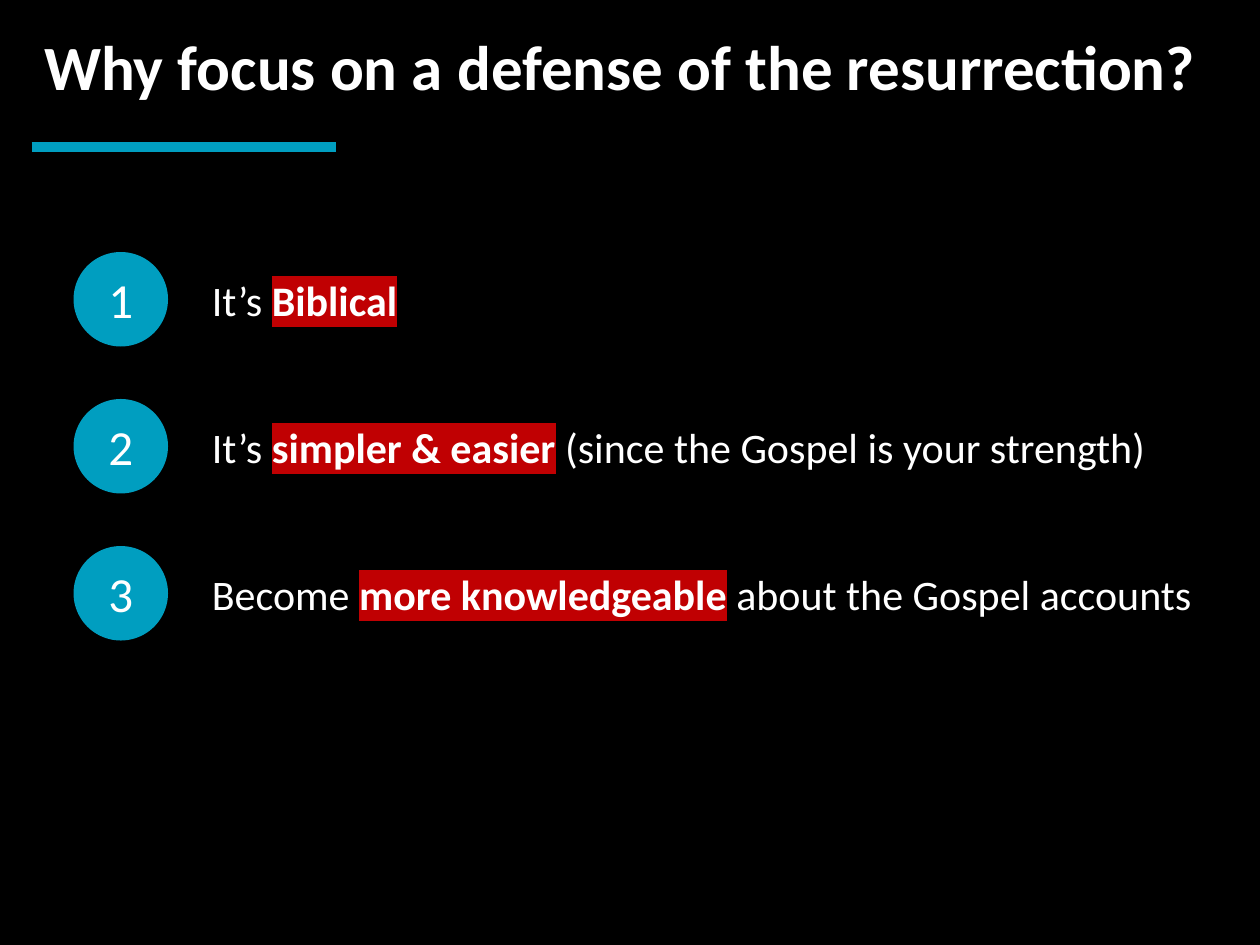
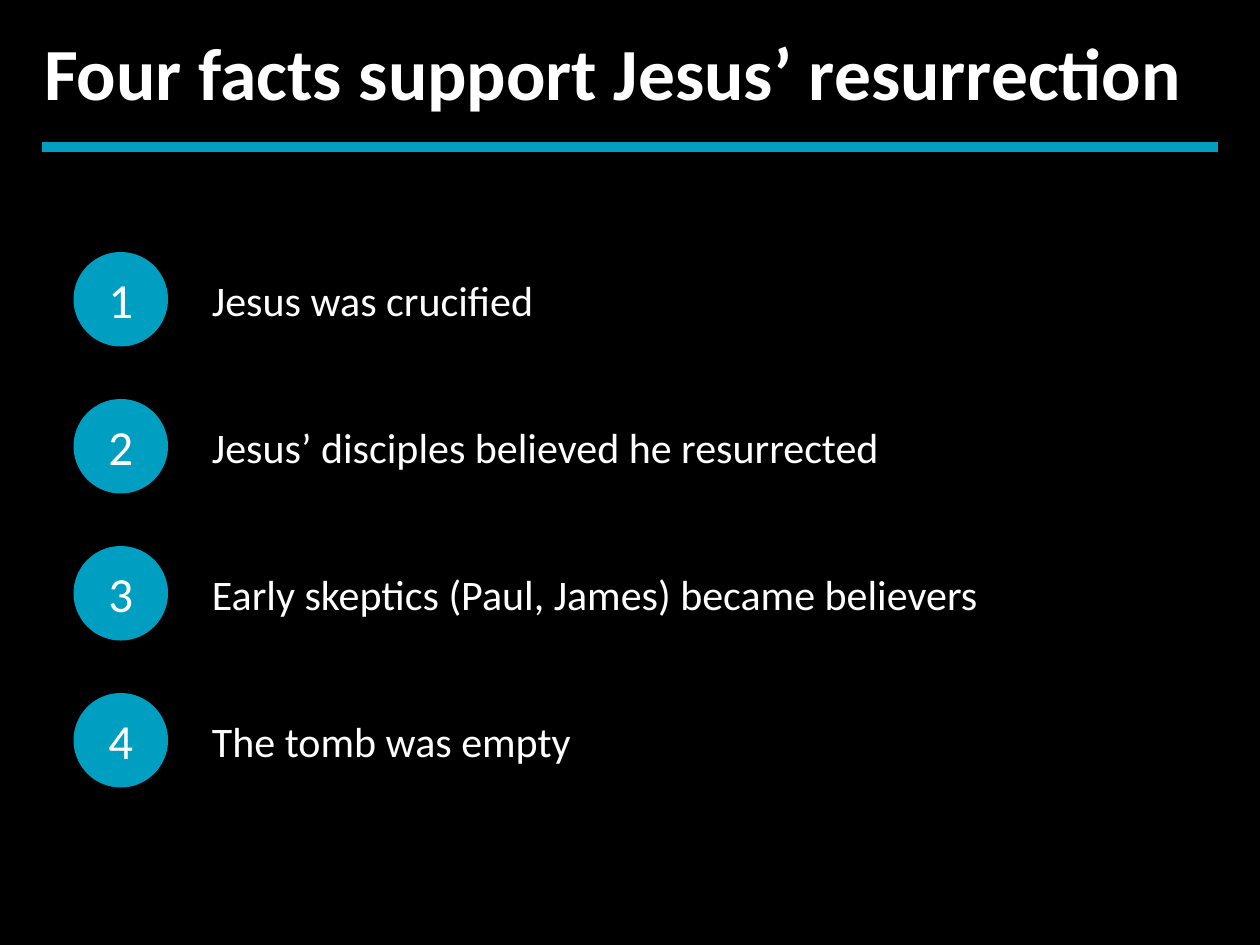
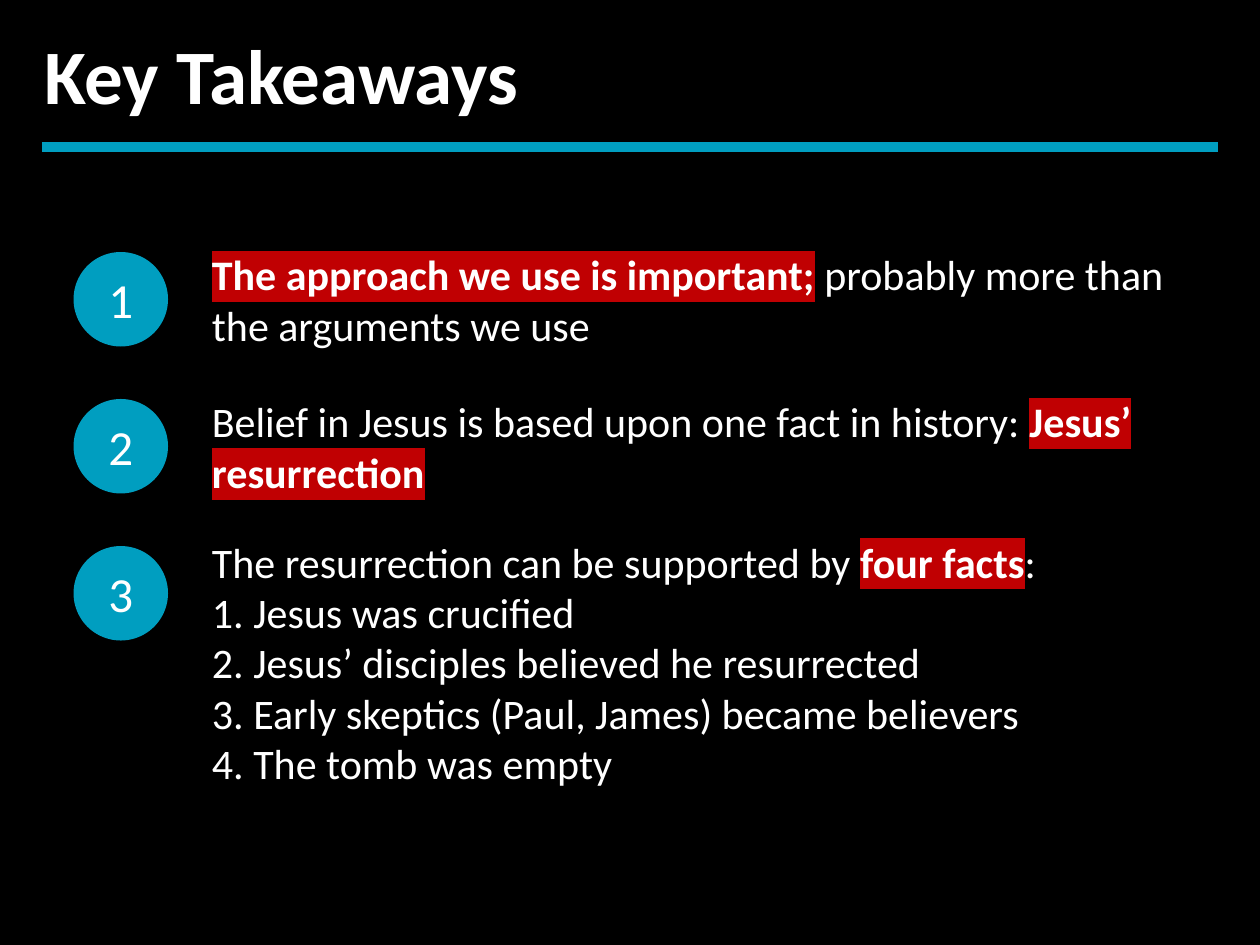
from lxml import etree
from pptx import Presentation
from pptx.dml.color import RGBColor
from pptx.enum.shapes import MSO_CONNECTOR, MSO_SHAPE
from pptx.enum.text import MSO_ANCHOR, MSO_AUTO_SIZE, PP_ALIGN
from pptx.oxml.ns import qn
from pptx.util import Emu, Pt

STRAIGHT = MSO_CONNECTOR.STRAIGHT
OVAL = MSO_SHAPE.OVAL
TOP, MIDDLE = MSO_ANCHOR.TOP, MSO_ANCHOR.MIDDLE
LEFT, CENTER = PP_ALIGN.LEFT, PP_ALIGN.CENTER

COLORS = {"background": "000000", "text": "FFFFFF", "accent": "009EC0", "highlight": "C00002"}
FONT = "Calibri"
BADGE_SIZE, POINT_SIZE = 28, 24

# Each point is a list of paragraphs; text between asterisks is highlighted.
FACTS = [
    "Jesus was crucified",
    "Jesus’ disciples believed he resurrected",
    "Early skeptics (Paul, James) became believers",
    "The tomb was empty",
]
NUMBERED_FACTS = [f"{number}. {fact}" for number, fact in enumerate(FACTS, 1)]
SLIDES = [
    {
        "title": "Why focus on a defense of the resurrection?",
        "title_size": 36,
        "title_height": 85,
        "rule": (30, 320),
        "points": [
            {"paragraphs": ["It’s *Biblical*"]},
            {"paragraphs": ["It’s *simpler & easier* (since the Gospel is your strength)"]},
            {"paragraphs": ["Become *more knowledgeable* about the Gospel accounts"], "width": 990},
        ],
    },
    {
        "title": "Four facts support Jesus’ resurrection",
        "title_size": 42,
        "title_height": 97,
        "rule": (40, 1160),
        "points": [{"paragraphs": [fact]} for fact in FACTS],
    },
    {
        "title": "Key Takeaways",
        "title_size": 44,
        "title_height": 101,
        "rule": (40, 1160),
        "points": [
            {"paragraphs": ["*The approach we use is important;* probably more than the arguments we use"]},
            {"paragraphs": ["Belief in Jesus is based upon one fact in history: *Jesus’ resurrection*"]},
            {
                "paragraphs": ["The resurrection can be supported by *four facts*:", *NUMBERED_FACTS],
                "height": 221,
            },
        ],
    },
]

EMU_PER_PX = 7620  # 120 px to the inch
SLIDE_WIDTH, SLIDE_HEIGHT = 1200, 900
TITLE_LEFT, TITLE_TOP, TITLE_WIDTH = 30, 20, 1130
RULE_TOP = 140
FIRST_POINT_TOP, POINT_STEP = 240, 140
BADGE_LEFT, BADGE_DIAMETER = 70, 90
POINT_LEFT, POINT_WIDTH = 190, 930


def px(length):
    return Emu(length * EMU_PER_PX)


def color(name):
    return RGBColor.from_string(COLORS[name])


def format_run(run, size, bold=False, highlighted=False):
    run.font.size = Pt(size)
    run.font.bold = bold
    run.font.color.rgb = color("text")
    if highlighted:
        highlight = etree.SubElement(run.font._element, qn("a:highlight"))
        etree.SubElement(highlight, qn("a:srgbClr"), val=COLORS["highlight"])
    run.font.name = FONT


def add_title(slide, content):
    title = slide.shapes.title
    title.left, title.top = px(TITLE_LEFT), px(TITLE_TOP)
    title.width, title.height = px(TITLE_WIDTH), px(content["title_height"])
    text_frame = title.text_frame
    text_frame.text = content["title"]
    text_frame.auto_size = MSO_AUTO_SIZE.SHAPE_TO_FIT_TEXT
    text_frame.vertical_anchor = TOP
    paragraph = text_frame.paragraphs[0]
    paragraph.alignment = LEFT
    format_run(paragraph.runs[0], content["title_size"], bold=True)


def add_rule(slide, start, end):
    rule = slide.shapes.add_connector(STRAIGHT, px(start), px(RULE_TOP), px(end), px(RULE_TOP))
    rule.line.color.rgb = color("accent")
    rule.line.width = Pt(6)
    etree.SubElement(rule._element.spPr, qn("a:effectLst"))


def add_badge(group, number, top):
    badge = group.shapes.add_shape(
        OVAL, px(BADGE_LEFT), px(top), px(BADGE_DIAMETER), px(BADGE_DIAMETER))
    badge.shadow.inherit = False
    badge.fill.solid()
    badge.fill.fore_color.rgb = color("accent")
    badge.line.fill.background()
    badge.text_frame.text = str(number)
    badge.text_frame.vertical_anchor = MIDDLE
    paragraph = badge.text_frame.paragraphs[0]
    paragraph.alignment = CENTER
    format_run(paragraph.runs[0], BADGE_SIZE)


def add_point_text(group, point, top):
    box = group.shapes.add_textbox(
        px(POINT_LEFT), px(top),
        px(point.get("width", POINT_WIDTH)), px(point.get("height", BADGE_DIAMETER)))
    text_frame = box.text_frame
    text_frame.word_wrap = True
    text_frame.vertical_anchor = MIDDLE
    for index, text in enumerate(point["paragraphs"]):
        paragraph = text_frame.add_paragraph() if index else text_frame.paragraphs[0]
        for part_index, part in enumerate(text.split("*")):
            if part:
                run = paragraph.add_run()
                run.text = part
                marked = part_index % 2 == 1
                format_run(run, POINT_SIZE, bold=marked, highlighted=marked)


def add_slide(presentation, content):
    slide = presentation.slides.add_slide(presentation.slide_layouts.get_by_name("Title Only"))
    add_title(slide, content)
    add_rule(slide, *content["rule"])
    for index, point in enumerate(content["points"]):
        top = FIRST_POINT_TOP + index * POINT_STEP
        group = slide.shapes.add_group_shape()
        add_badge(group, index + 1, top)
        add_point_text(group, point, top)


def main():
    presentation = Presentation()
    presentation.slide_width, presentation.slide_height = px(SLIDE_WIDTH), px(SLIDE_HEIGHT)
    background = presentation.slide_master.background.fill
    background.solid()
    background.fore_color.rgb = color("background")
    for content in SLIDES:
        add_slide(presentation, content)
    presentation.save("out.pptx")


if __name__ == "__main__":
    main()
